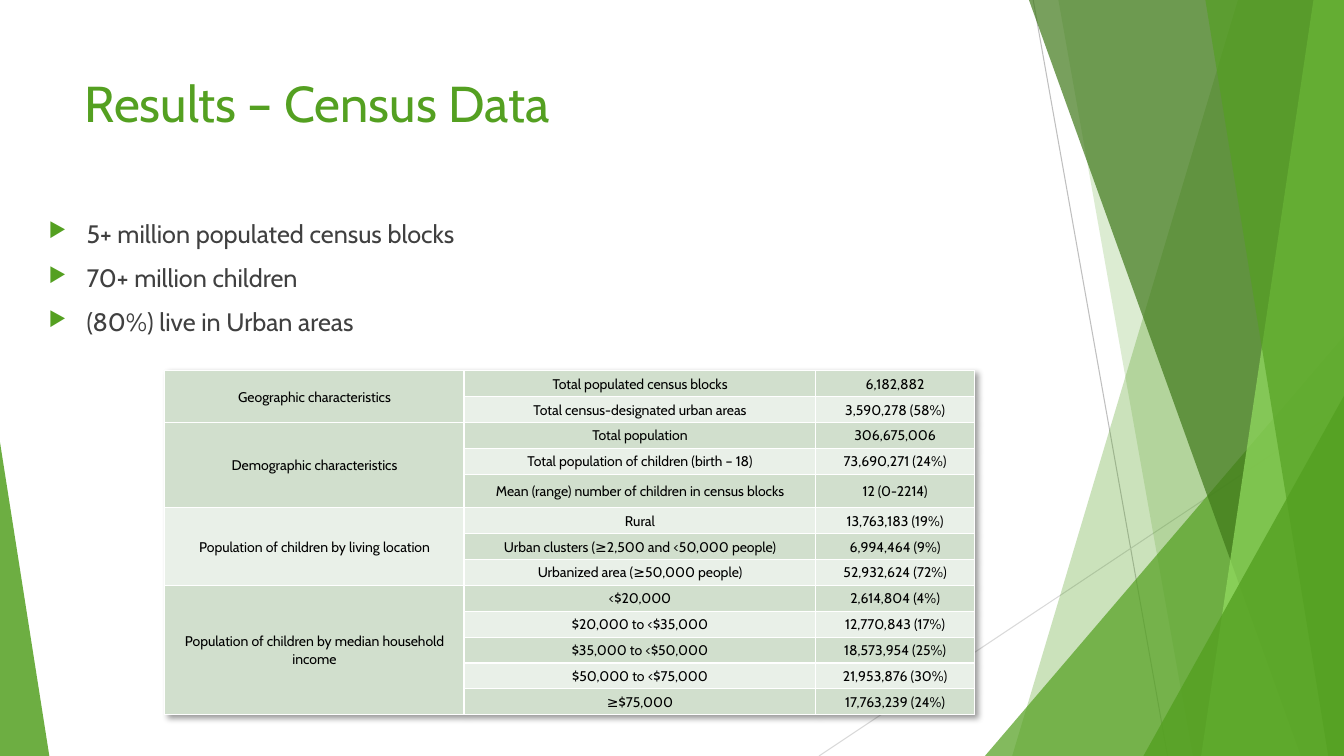
from lxml import etree
from pptx import Presentation
from pptx import util as u
from pptx.dml.color import RGBColor
from pptx.enum import shapes, text
from pptx.oxml.ns import qn

PX = 9525
FONT = "Cabin"
COLORS = {
    "green": "54A021", "forest": "3F7819", "lime": "94DE61",
    "line_dark": "BFBFBF", "line_light": "D9D9D9",
    "body": "404040", "cell": "000000", "border": "FFFFFF",
    "band_dark": "D1DFCD", "band_light": "E9F0E8",
}
BULLETS = ["5+ million populated census blocks", "70+ million children", "(80%) live in Urban areas"]
CENSUS = [
    ("Geographic characteristics", [
        ("Total populated census blocks", "6,182,882"),
        ("Total census-designated urban areas", "3,590,278 (58%)")]),
    ("Demographic characteristics", [
        ("Total population", "306,675,006"),
        ("Total population of children (birth – 18)", "73,690,271 (24%)"),
        ("Mean (range) number of children in census blocks", "12 (0-2214)")]),
    ("Population of children by living location", [
        ("Rural", "13,763,183 (19%)"),
        ("Urban clusters (≥2,500 and <50,000 people)", "6,994,464 (9%)"),
        ("Urbanized area (≥50,000 people)", "52,932,624 (72%)")]),
    ("Population of children by median household income", [
        ("<$20,000", "2,614,804 (4%)"),
        ("$20,000 to <$35,000", "12,770,843 (17%)"),
        ("$35,000 to <$50,000", "18,573,954 (25%)"),
        ("$50,000 to <$75,000", "21,953,876 (30%)"),
        ("≥$75,000", "17,763,239 (24%)")]),
]


def px(n):
    """Turn px into EMU."""
    return u.Emu(int(n * PX))


def rgb(name):
    """Look up a named colour."""
    return RGBColor.from_string(COLORS[name])


def sub(parent, tag, **attrs):
    """Append a DrawingML element."""
    return etree.SubElement(parent, qn(tag), attrs)


def add_run(p, words, size, color):
    """Add one formatted run to a paragraph."""
    r = p.add_run()
    r.text = words
    r.font.size, r.font.name = u.Pt(size), FONT
    r.font.color.rgb = rgb(color)


def paint(sp, color, opacity):
    """Give a shape a see-through fill, no line and no shadow."""
    sp.shadow.inherit = False
    sp.fill.solid()
    sp.fill.fore_color.rgb = rgb(color)
    sp.line.fill.background()
    clr = sp._element.spPr.find(qn("a:solidFill"))[0]
    sub(clr, "a:alpha", val=str(opacity * 1000))


def add_triangle(s, x, y, w, h, apex, opacity):
    """Draw a right triangle with its apex at the left (0) or right (1)."""
    sp = s.shapes.add_shape(shapes.MSO_SHAPE.ISOSCELES_TRIANGLE, px(x), px(y), px(w), px(h))
    sp.adjustments[0] = apex
    paint(sp, "green", opacity)


def add_ray(s, x1, y1, x2, y2, color):
    """Draw one thin background line."""
    line = s.shapes.add_connector(shapes.MSO_CONNECTOR.STRAIGHT, px(x1), px(y1), px(x2), px(y2))
    line.line.width = u.Pt(0.75)
    line.line.color.rgb = rgb(color)
    sub(line._element.spPr, "a:effectLst")


def add_shard(s, x, y, w, h, top, bottom, color, opacity):
    """Draw a shard from a slanted left edge to the right side of the box."""
    builder = s.shapes.build_freeform(px(x + top), px(y))
    builder.add_line_segments([(px(x + w), px(y)), (px(x + w), px(y + h)), (px(x + bottom), px(y + h))])
    paint(builder.convert_to_shape(), color, opacity)


def add_facets(s, x, y, w, h):
    """Draw the faceted background at the right."""
    def corner(left, top, opacity):
        """Fill the lower right corner of the box with a triangle."""
        add_triangle(s, x + left, y + top, w - left, h - top, 1, opacity)

    add_ray(s, x + 204, y, x + 332, y + h, "line_dark")
    add_ray(s, x + w, y + 387, x, y + h, "line_light")
    add_shard(s, x, y, w, h, 399, 184, "green", 30)
    add_shard(s, x, y, w, h, 228, 356, "green", 20)
    corner(158, 320, 72)
    for shard in [(200, 459, "forest", 70), (471, 364, "lime", 70), (368, 485, "green", 65)]:
        add_shard(s, x, y, w, h, *shard)
    corner(309, 377, 80)


def add_title(s, x, y, w, h):
    """Place and format the title."""
    sp = s.shapes.title
    sp.left, sp.top, sp.width, sp.height = px(x), px(y), px(w), px(h)
    tf = sp.text_frame
    tf.word_wrap, tf.auto_size = True, text.MSO_AUTO_SIZE.NONE
    tf.vertical_anchor = text.MSO_ANCHOR.TOP
    p = tf.paragraphs[0]
    p.alignment = text.PP_ALIGN.LEFT
    add_run(p, "Results – Census Data", 36, "green")


def add_bullets(s, x, y, w, h):
    """Write the key findings as a bullet list."""
    tf = s.shapes.add_textbox(px(x), px(y), px(w), px(h)).text_frame
    tf.word_wrap = True
    for i, words in enumerate(BULLETS):
        p = tf.add_paragraph() if i else tf.paragraphs[0]
        pPr = p._p.get_or_add_pPr()
        pPr.set("marL", str(px(36)))
        pPr.set("indent", str(px(-36)))
        sub(sub(pPr, "a:buClr"), "a:srgbClr", val=COLORS["green"])
        sub(pPr, "a:buSzPct", val="80000")
        sub(pPr, "a:buChar", char="▶")
        p.space_before = u.Pt(10 if i else 0)
        add_run(p, words, 18, "body")


def format_cell(cell, band):
    """Set a cell's borders, fill, margins and anchor."""
    tcPr = cell._tc.get_or_add_tcPr()
    for side in "LRTB":
        ln = sub(tcPr, "a:ln" + side, w=str(u.Pt(1)))
        sub(sub(ln, "a:solidFill"), "a:srgbClr", val=COLORS["border"])
    cell.fill.solid()
    cell.fill.fore_color.rgb = rgb(band)
    cell.margin_left = cell.margin_right = px(7)
    cell.margin_top = cell.margin_bottom = 0
    cell.vertical_anchor = text.MSO_ANCHOR.MIDDLE


def write_cell(cell, words):
    """Write centred text in a cell."""
    p = cell.text_frame.paragraphs[0]
    p.alignment = text.PP_ALIGN.CENTER
    p.line_spacing, p.space_after = 1.07, u.Pt(8)
    add_run(p, words, 10, "cell")


def add_census_table(s, x, y, w, h):
    """Build the grouped census table with its shadow."""
    count = sum(len(rows) for _, rows in CENSUS)
    table = s.shapes.add_table(count, 3, px(x), px(y), px(w), px(h)).table
    table.first_row = table.horz_banding = False
    shadow = etree.Element(qn("a:effectLst"))
    outer = sub(shadow, "a:outerShdw", blurRad="50800", dist="38100", dir="2700000", algn="tl")
    sub(sub(outer, "a:srgbClr", val="000000"), "a:alpha", val="40000")
    table._tbl.tblPr.insert(0, shadow)
    for column, width in zip(table.columns, (285, 335, w - 285 - 335)):
        column.width = px(width)
    tall_row, tall = 4, 32
    for i, row in enumerate(table.rows):
        row.height = px(tall if i == tall_row else (h - tall) / (count - 1))
    bands = ("band_dark", "band_light")
    first = 0
    for group, rows in CENSUS:
        last = first + len(rows) - 1
        for i, values in enumerate(rows, first):
            format_cell(table.cell(i, 0), bands[first % 2])
            for j, words in enumerate(values, 1):
                format_cell(table.cell(i, j), bands[i % 2])
                write_cell(table.cell(i, j), words)
        table.cell(first, 0).merge(table.cell(last, 0))
        write_cell(table.cell(first, 0), group)
        first = last + 1


def main():
    """Build and save the slide."""
    prs = Presentation()
    prs.slide_width, prs.slide_height = px(1280), px(720)
    s = prs.slides.add_slide(prs.slide_layouts[5])
    add_facets(s, 780, 0, 500, 720)
    add_triangle(s, 0, 421, 47, 299, 0, 85)
    add_title(s, 71, 64, 902, 138)
    add_bullets(s, 37, 203, 475, 364)
    add_census_table(s, 157, 353, 771, 328)
    prs.save("out.pptx")


if __name__ == "__main__":
    main()
